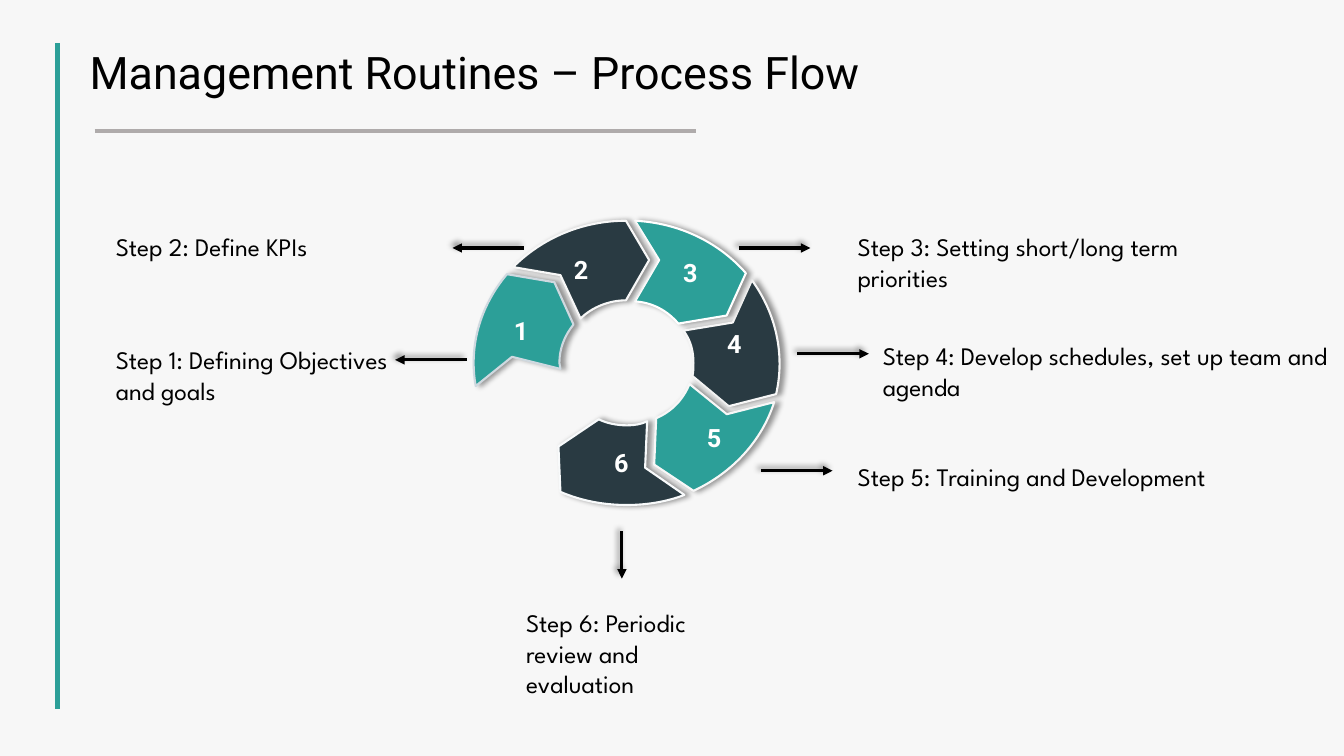
from dataclasses import dataclass

from lxml.etree import SubElement
from pptx import Presentation
from pptx.dml.color import RGBColor
from pptx.enum.shapes import MSO_CONNECTOR
from pptx.enum.text import MSO_ANCHOR, MSO_AUTO_SIZE, PP_ALIGN
from pptx.oxml.ns import qn
from pptx.util import Emu, Pt

SCALE = 9144  # 100 px to the inch


@dataclass(frozen=True)
class Theme:
    back: str = "F7F7F7"
    teal: str = "2C9F98"
    dark: str = "293A42"
    gray: str = "AFABAB"
    ink: str = "000000"
    white: str = "FFFFFF"
    pale: str = "F8FAFB"
    mist: str = "CFD9E0"
    head: str = "Roboto"
    body: str = "League Spartan"
    title: int = 32
    text: int = 18


THEME = Theme()

# Ring parts: number, fill, edge, outline (pairs are lines, sixes are curves)
PARTS = [
    ("4", THEME.dark, THEME.back, [
        (746, 278), (727, 320), (678, 328), (685, 337, 688, 348, 688, 360),
        (688, 364, 688, 369, 687, 373), (723, 403), (770, 391),
        (779, 352, 770, 311, 746, 278)]),
    ("3", THEME.teal, THEME.white, [
        (630, 219), (654, 258), (630, 299), (647, 300, 662, 308, 673, 321),
        (721, 313), (740, 271), (713, 240, 673, 221, 630, 219)]),
    ("6", THEME.dark, THEME.pale, [
        (594, 416), (554, 443), (556, 488), (577, 497, 599, 501, 622, 501),
        (641, 501, 661, 498, 679, 491), (640, 464), (642, 418),
        (636, 421, 629, 422, 622, 422), (612, 422, 602, 420, 594, 416)]),
    ("5", THEME.teal, THEME.back, [
        (684, 381), (678, 396, 667, 408, 651, 415), (649, 461), (688, 487),
        (727, 469, 756, 437, 768, 399), (721, 411), (684, 381)]),
    ("1", THEME.teal, THEME.mist, [
        (503, 272), (476, 304, 465, 344, 472, 383), (508, 354), (556, 366),
        (556, 364, 555, 362, 555, 360), (555, 346, 560, 333, 569, 322),
        (550, 280), (503, 272)]),
    ("2", THEME.dark, THEME.back, [
        (621, 219), (578, 219, 538, 236, 509, 265), (556, 273), (576, 316),
        (587, 305, 604, 298, 621, 298), (644, 258), (621, 219)]),
]

# Arrows: start, end
ARROWS = [
    ((463, 357), (392, 357)),
    ((617, 527), (617, 574)),
    ((791, 351), (862, 351)),
    ((755, 467), (826, 467)),
    ((733, 246), (804, 246)),
    ((520, 246), (449, 246)),
]

# Steps: text, box
STEPS = [
    ("Step 1: Defining Objectives and goals", (105, 337, 308, 71)),
    ("Step 2: Define KPIs", (105, 225, 308, 40)),
    ("Step 3: Setting short/long term priorities", (841, 225, 403, 71)),
    ("Step 4: Develop schedules, set up team and agenda",
     (866, 333, 470, 71)),
    ("Step 5: Training and Development", (841, 453, 371, 71)),
    ("Step 6: Periodic review and evaluation", (512, 598, 228, 101)),
]


def px(num):
    return Emu(round(num * SCALE))


def tint(code):
    return RGBColor.from_string(code)


def write(frame, text, size=THEME.text, font=THEME.body, color=THEME.ink,
          bold=False, align=PP_ALIGN.LEFT, space=None):
    para = frame.paragraphs[0]
    para.alignment = align
    if space:
        para.line_spacing = space
    run = para.add_run()
    run.text = text
    run.font.size, run.font.name, run.font.bold = Pt(size), font, bold
    run.font.color.rgb = tint(color)


def add_text(slide, text, box, grow=True, **form):
    frame = slide.shapes.add_textbox(*map(px, box)).text_frame
    frame.word_wrap = True
    if grow:
        frame.auto_size = MSO_AUTO_SIZE.SHAPE_TO_FIT_TEXT
    else:
        frame.margin_top = frame.margin_bottom = px(10)
    write(frame, text, **form)


def shade(item, angle):
    """Give a shape or line a soft shadow."""
    group = SubElement(item._element.spPr, qn("a:effectLst"))
    cast = SubElement(group, qn("a:outerShdw"), blurRad=str(Pt(4)),
                      dist=str(Pt(3)), dir=str(angle * 60000),
                      algn="l", rotWithShape="0")
    color = SubElement(cast, qn("a:srgbClr"), val=THEME.ink)
    SubElement(color, qn("a:alpha"), val="40000")


def add_line(slide, start, end, color, width, arrow=False):
    line = slide.shapes.add_connector(
        MSO_CONNECTOR.STRAIGHT, *map(px, start + end))
    line.line.color.rgb = tint(color)
    line.line.width = Pt(width)
    if arrow:
        SubElement(line.line._get_or_add_ln(), qn("a:tailEnd"),
                   type="triangle")
        shade(line, 225)
    else:
        SubElement(line._element.spPr, qn("a:effectLst"))


def bend(part, marks):
    """Join each run of three line nodes that stands for a curve."""
    track = next(part._element.iter(qn("a:path")))
    nodes = iter(track.findall(qn("a:lnTo")))
    for mark in marks[1:]:
        node = next(nodes)
        if len(mark) == 6:
            curve = SubElement(track, qn("a:cubicBezTo"))
            node.addprevious(curve)
            for corner in (node, next(nodes), next(nodes)):
                curve.append(corner[0])
                track.remove(corner)


def add_part(group, label, fill, edge, marks):
    points = [(px(mark[i]), px(mark[i + 1]))
              for mark in marks for i in range(0, len(mark), 2)]
    pen = group.shapes.build_freeform(*points[0], scale=1.0)
    pen.add_line_segments(points[1:], close=True)
    part = pen.convert_to_shape()
    bend(part, marks)
    part.fill.solid()
    part.fill.fore_color.rgb = tint(fill)
    part.line.color.rgb = tint(edge)
    part.line.width = Pt(1.5)
    shade(part, 0)
    frame = part.text_frame
    frame.vertical_anchor = MSO_ANCHOR.MIDDLE
    frame.margin_top = frame.margin_bottom = px(10)
    write(frame, label, font=THEME.head, color=THEME.white, bold=True,
          align=PP_ALIGN.CENTER)


def main():
    deck = Presentation()
    deck.slide_width, deck.slide_height = px(1333.33), px(750)
    slide = deck.slides.add_slide(deck.slide_layouts[6])
    slide.background.fill.solid()
    slide.background.fill.fore_color.rgb = tint(THEME.back)

    # Title and rules
    add_line(slide, (57, 43), (57, 703), THEME.teal, 3.25)
    add_text(slide, "Management Routines – Process Flow", (79, 40, 973, 101),
             grow=False, size=THEME.title, font=THEME.head, space=0.9)
    add_line(slide, (94, 130), (690, 130), THEME.gray, 3)

    # Ring
    ring = slide.shapes.add_group_shape()
    for part in PARTS:
        add_part(ring, *part)

    # Arrows
    for start, end in ARROWS:
        add_line(slide, start, end, THEME.ink, 2.25, arrow=True)

    # Steps
    for text, box in STEPS:
        add_text(slide, text, box)

    deck.save("out.pptx")


if __name__ == "__main__":
    main()
